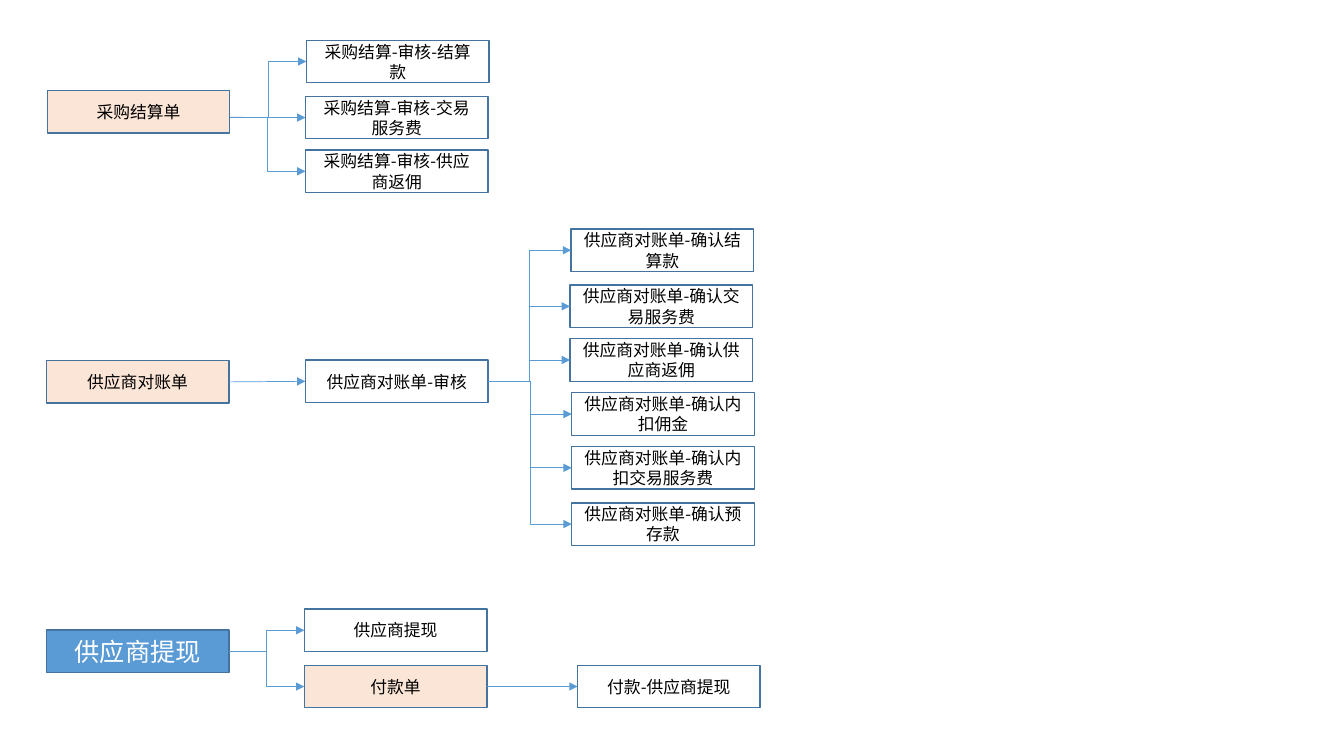
from dataclasses import dataclass

from lxml import etree
from pptx import Presentation
from pptx import util as u
from pptx.dml.color import RGBColor
from pptx.enum import shapes, text
from pptx.oxml import ns

HUES = {"edge": "43739E", "link": "5B9BD5", "peach": "FBE5D6",
        "blue": "5B9BD5", "black": "000000", "white": "FFFFFF"}
FONT = "Noto Sans CJK SC"
WIDE, HIGH = 130.4, 30.4
TOP, LEFT, RIGHT = 0, 1, 3


@dataclass(frozen=True)
class Box:
    key: str
    left: float
    top: float
    words: str
    fill: str = ""
    size: float = 12
    ink: str = "black"


@dataclass(frozen=True)
class Fan:
    root: str
    ends: tuple[str, ...]
    drop: float = 0


BOXES = [
    Box("buy", 33.8, 64.8, "采购结算单", "peach"),
    Box("buy1", 218.9, 28.8, "采购结算-审核-结算款"),
    Box("buy2", 218.2, 68.8, "采购结算-审核-交易服务费"),
    Box("buy3", 218.2, 107.2, "采购结算-审核-供应商返佣"),
    Box("bill", 33.1, 257.6, "供应商对账单", "peach"),
    Box("check", 218.2, 257.2, "供应商对账单-审核"),
    Box("bill1", 408, 163.6, "供应商对账单-确认结算款"),
    Box("bill2", 407.2, 203.6, "供应商对账单-确认交易服务费"),
    Box("bill3", 407.2, 242, "供应商对账单-确认供应商返佣"),
    Box("bill4", 408.4, 280.6, "供应商对账单-确认内扣佣金"),
    Box("bill5", 408.4, 319, "供应商对账单-确认内扣交易服务费"),
    Box("bill6", 408.4, 359.2, "供应商对账单-确认预存款"),
    Box("cash", 33.1, 450, "供应商提现", "blue", 18, "white"),
    Box("cash1", 217.4, 435, "供应商提现"),
    Box("pay", 217.4, 475.2, "付款单", "peach"),
    Box("pay1", 412.6, 475.2, "付款-供应商提现"),
]
FANS = [
    Fan("buy", ("buy1", "buy2", "buy3"), 3.8),
    Fan("bill", ("check",)),
    Fan("check", tuple(f"bill{n}" for n in range(1, 7))),
    Fan("cash", ("cash1", "pay")),
    Fan("pay", ("pay1",)),
]


def tint(name: str) -> RGBColor:
    return RGBColor.from_string(HUES[name])


def put_text(shape, words: str, *, size: float, ink: str) -> None:
    frame = shape.text_frame
    frame.word_wrap = True
    frame.vertical_anchor = text.MSO_ANCHOR.MIDDLE
    para = frame.paragraphs[0]
    para.alignment = text.PP_ALIGN.CENTER
    run = para.add_run()
    run.text = words
    run.font.size = u.Pt(size)
    run.font.name = FONT
    run.font.color.rgb = tint(ink)
    east = etree.SubElement(run.font._element, ns.qn("a:ea"))
    east.set("typeface", FONT)


def draw_box(slide, box: Box):
    shape = slide.shapes.add_shape(
        shapes.MSO_SHAPE.RECTANGLE,
        u.Pt(box.left), u.Pt(box.top), u.Pt(WIDE), u.Pt(HIGH))
    shape.shadow.inherit = False
    if box.fill:
        shape.fill.solid()
        shape.fill.fore_color.rgb = tint(box.fill)
    else:
        shape.fill.background()
    shape.line.color.rgb = tint("edge")
    shape.line.width = u.Pt(1)
    put_text(shape, box.words, size=box.size, ink=box.ink)
    return shape


def draw_link(slide, root: Box, goal: Box, made: dict, drop: float) -> None:
    start = root.top + HIGH / 2 + drop
    stop = goal.top + HIGH / 2
    kinds = shapes.MSO_CONNECTOR
    kind = kinds.ELBOW if abs(stop - start) > 2 else kinds.STRAIGHT
    link = slide.shapes.add_connector(
        kind, u.Pt(root.left + WIDE), u.Pt(start), u.Pt(goal.left), u.Pt(stop))
    if not drop:
        link.begin_connect(made[root.key], RIGHT)
    link.end_connect(made[goal.key], LEFT)
    link.line.color.rgb = tint("link")
    link.line.width = u.Pt(0.5)
    tail = etree.SubElement(link.line._get_or_add_ln(), ns.qn("a:tailEnd"))
    tail.set("type", "triangle")
    etree.SubElement(link._element.spPr, ns.qn("a:effectLst"))


def main() -> None:
    deck = Presentation()
    deck.slide_width, deck.slide_height = u.Pt(960), u.Pt(540)
    slide = deck.slides.add_slide(deck.slide_layouts[6])
    made = {box.key: draw_box(slide, box) for box in BOXES}
    plan = {box.key: box for box in BOXES}
    for fan in FANS:
        for end in fan.ends:
            draw_link(slide, plan[fan.root], plan[end], made, fan.drop)
    deck.save("out.pptx")


if __name__ == "__main__":
    main()
